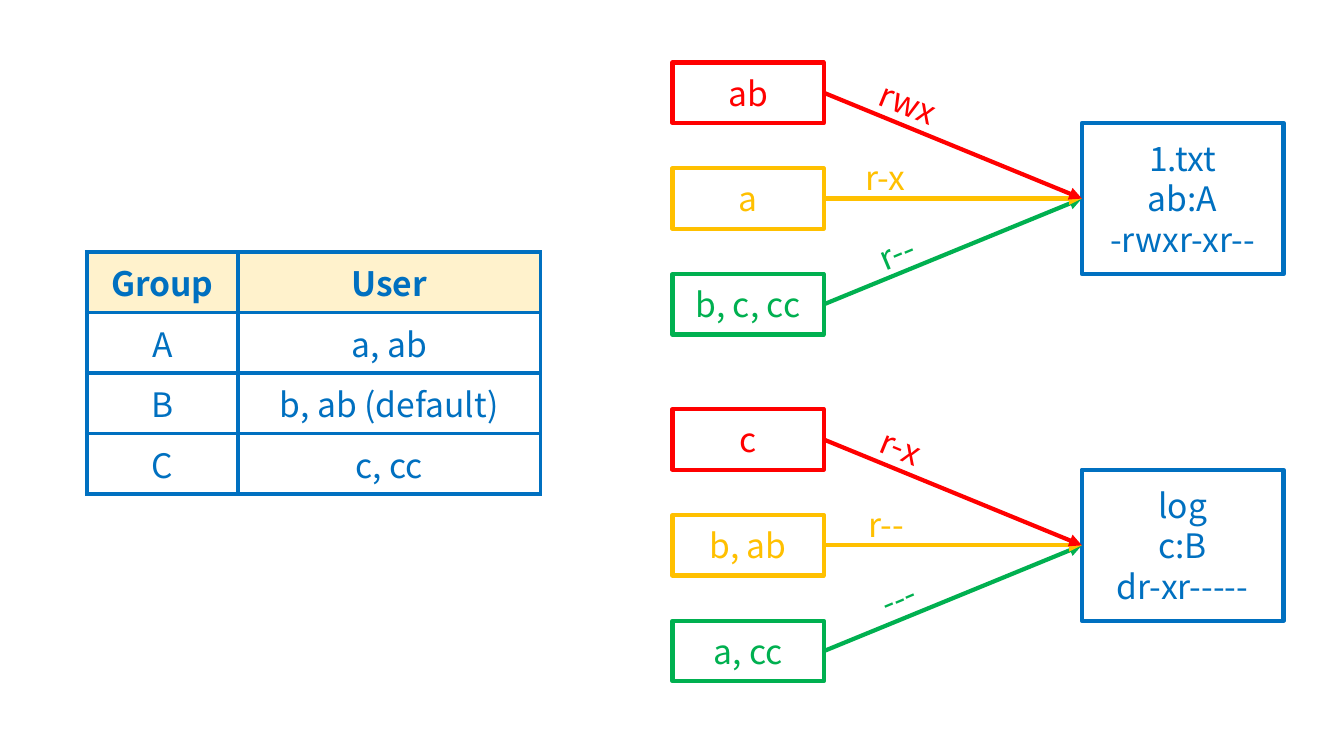
from lxml import etree
from pptx import Presentation
from pptx.dml.color import RGBColor
from pptx.enum.shapes import MSO_CONNECTOR, MSO_SHAPE
from pptx.enum.text import MSO_ANCHOR, PP_ALIGN
from pptx.oxml import parse_xml
from pptx.oxml.ns import nsdecls, qn
from pptx.util import Pt

RECTANGLE = MSO_SHAPE.RECTANGLE
STRAIGHT = MSO_CONNECTOR.STRAIGHT
MIDDLE = MSO_ANCHOR.MIDDLE
CENTER = PP_ALIGN.CENTER
LEFT_SIDE, RIGHT_SIDE = 1, 3

EMU_PER_PX = 9144
COLORS = {
    "blue": "0070C0",
    "red": "FF0000",
    "yellow": "FFC000",
    "green": "00B050",
    "header": "FFF2CC",
}
FONT = {"name": "Noto Sans CJK SC", "size": Pt(24)}
LINE_WIDTH = Pt(3)

GROUPS = [("Group", "User"), ("A", "a, ab"), ("B", "b, ab (default)"), ("C", "c, cc")]
COLUMN_WIDTHS = [150, 300]
ROW_HEIGHT = 60

CLASS_COLORS = ["red", "yellow", "green"]
CLASS_STEP = 105
LABEL_ANGLES = [22.4, 0, -22.7]
DIAGRAMS = [
    {
        "top": 62,
        "file": "1.txt\nab:A\n-rwxr-xr--",
        "users": ["ab", "a", "b, c, cc"],
        "labels": [("rwx", 851, 72), ("r-x", 828, 146), ("r--", 839, 220)],
    },
    {
        "top": 406,
        "file": "log\nc:B\ndr-xr-----",
        "users": ["c", "b, ab", "a, cc"],
        "labels": [("r-x", 844, 413), ("r--", 829, 490), ("---", 841, 563)],
    },
]


def px(*lengths):
    return [length * EMU_PER_PX for length in lengths]


def rgb(color):
    return RGBColor.from_string(COLORS[color])


def write(text_frame, text, color, bold=False):
    text_frame.text = text
    text_frame.word_wrap = True
    text_frame.vertical_anchor = MIDDLE
    for paragraph in text_frame.paragraphs:
        paragraph.alignment = CENTER
        for name, value in {**FONT, "bold": bold}.items():
            setattr(paragraph.font, name, value)
            for run in paragraph.runs:
                setattr(run.font, name, value)
        for run in paragraph.runs:
            run.font.color.rgb = rgb(color)


def add_box(slide, left, top, width, height, text, color):
    shape = slide.shapes.add_shape(RECTANGLE, *px(left, top, width, height))
    shape.shadow.inherit = False
    shape.fill.background()
    shape.line.color.rgb = rgb(color)
    shape.line.width = LINE_WIDTH
    write(shape.text_frame, text, color)
    return shape


def add_label(slide, left, top, text, color, angle):
    label = slide.shapes.add_textbox(*px(left, top, 100, 60))
    label.rotation = angle
    write(label.text_frame, text, color)


def add_arrow(slide, start, end, color):
    arrow = slide.shapes.add_connector(STRAIGHT, 0, 0, 0, 0)
    arrow.begin_connect(start, RIGHT_SIDE)
    arrow.end_connect(end, LEFT_SIDE)
    arrow.line.color.rgb = rgb(color)
    arrow.line.width = LINE_WIDTH
    etree.SubElement(arrow.line._get_or_add_ln(), qn("a:tailEnd"), type="triangle")
    etree.SubElement(arrow._element.spPr, qn("a:effectLst"))


def add_borders(cell, color):
    properties = cell._tc.get_or_add_tcPr()
    for index, side in enumerate(["lnL", "lnR", "lnT", "lnB"]):
        border = parse_xml(
            f'<a:{side} {nsdecls("a")} w="{LINE_WIDTH}"><a:solidFill>'
            f'<a:srgbClr val="{COLORS[color]}"/></a:solidFill></a:{side}>'
        )
        properties.insert(index, border)


def add_group_table(slide, left, top):
    size = px(left, top, sum(COLUMN_WIDTHS), ROW_HEIGHT * len(GROUPS))
    table = slide.shapes.add_table(len(GROUPS), len(COLUMN_WIDTHS), *size).table
    table.first_row = table.horz_banding = False
    for column, width in zip(table.columns, px(*COLUMN_WIDTHS)):
        column.width = width
    for row_index, row in enumerate(GROUPS):
        is_header = row_index == 0
        for column_index, text in enumerate(row):
            cell = table.cell(row_index, column_index)
            write(cell.text_frame, text, "blue", is_header)
            cell.vertical_anchor = MIDDLE
            if is_header:
                cell.fill.solid()
                cell.fill.fore_color.rgb = rgb("header")
            else:
                cell.fill.background()
            add_borders(cell, "blue")


def add_diagram(slide, diagram):
    top = diagram["top"]
    file_box = add_box(slide, 1073, top + 60, 200, 150, diagram["file"], "blue")
    user_boxes = [
        add_box(slide, 667, top + index * CLASS_STEP, 150, 60, users, color)
        for index, (users, color) in enumerate(zip(diagram["users"], CLASS_COLORS))
    ]
    for (text, left, label_top), color, angle in zip(
        diagram["labels"], CLASS_COLORS, LABEL_ANGLES
    ):
        add_label(slide, left, label_top, text, color, angle)
    for user_box, color in reversed(list(zip(user_boxes, CLASS_COLORS))):
        add_arrow(slide, user_box, file_box, color)


def main():
    presentation = Presentation()
    presentation.slide_width, presentation.slide_height = px(1333, 750)
    slide = presentation.slides.add_slide(presentation.slide_layouts[6])
    add_group_table(slide, 86, 250)
    for diagram in DIAGRAMS:
        add_diagram(slide, diagram)
    presentation.save("out.pptx")


if __name__ == "__main__":
    main()
